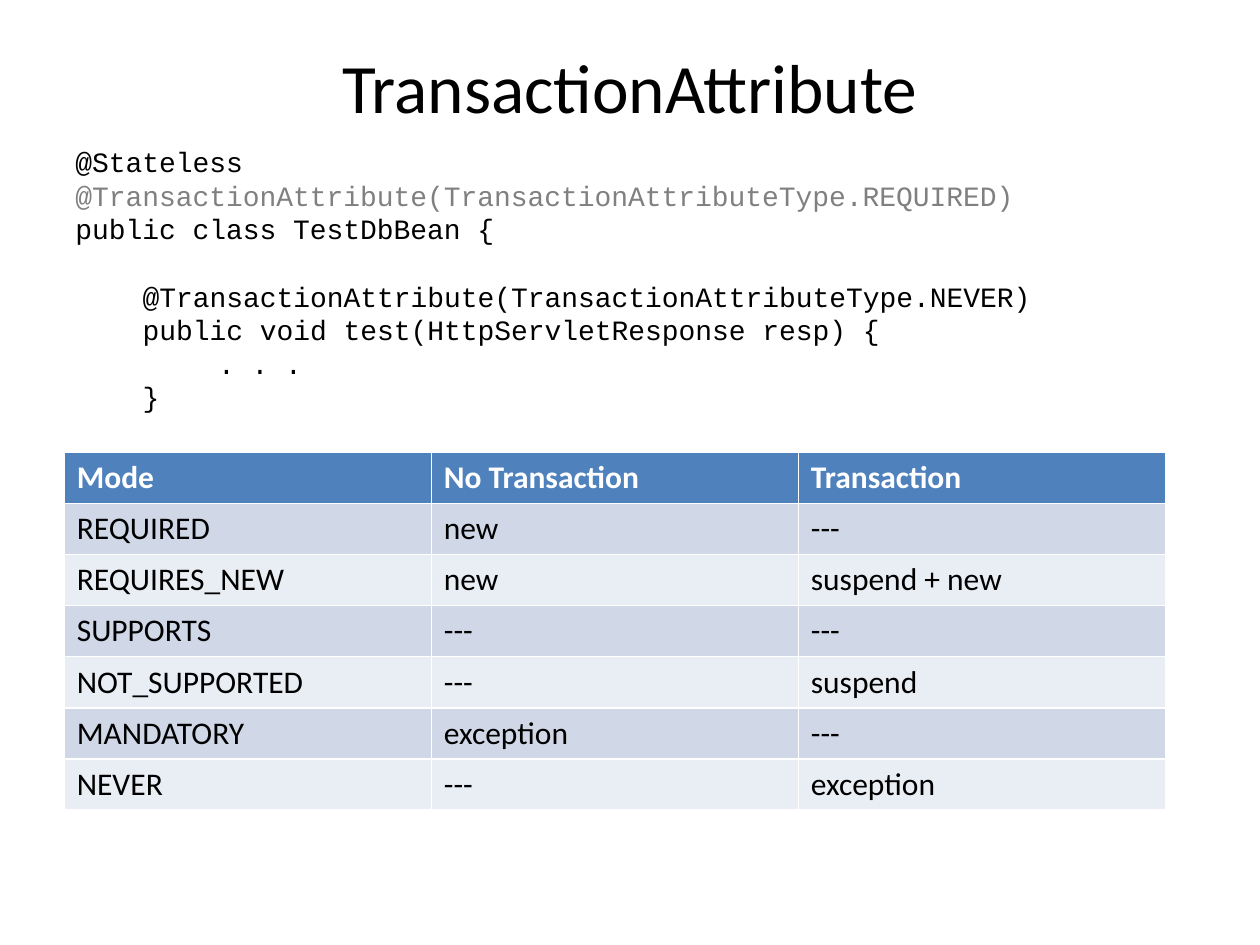
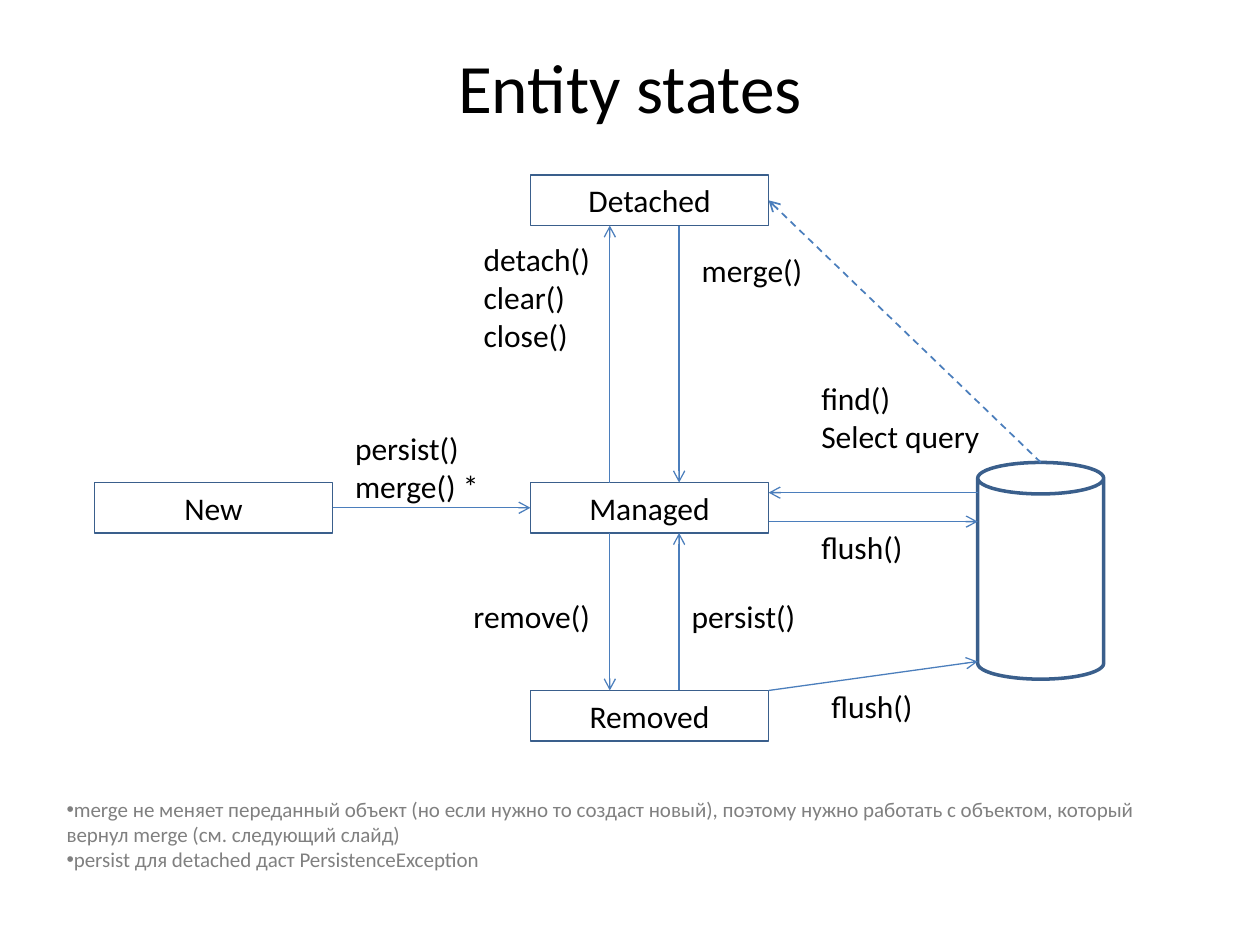
from lxml.etree import SubElement
from pptx import Presentation
from pptx.dml.color import RGBColor
from pptx.enum.dml import MSO_LINE
from pptx.enum.shapes import MSO_CONNECTOR, MSO_SHAPE
from pptx.enum.text import MSO_ANCHOR, PP_ALIGN
from pptx.oxml.ns import qn
from pptx.util import Inches, Pt

BLACK = RGBColor(0x00, 0x00, 0x00)
WHITE = RGBColor(0xFF, 0xFF, 0xFF)
GRAY = RGBColor(0x80, 0x80, 0x80)
HEADER_BLUE = RGBColor(0x4F, 0x81, 0xBD)
BANDS = [RGBColor(0xE9, 0xED, 0xF4), RGBColor(0xD0, 0xD8, 0xE8)]
OUTLINE_BLUE = RGBColor(0x3A, 0x5F, 0x8C)
ARROW_BLUE = RGBColor(0x4B, 0x7E, 0xBC)

presentation = Presentation()
presentation.slide_width = Inches(10)
presentation.slide_height = Inches(7.5)
# The grid has 100 columns and 75 rows
COLUMN = presentation.slide_width // 100
ROW = presentation.slide_height // 75


def write(text_frame, text, size=18, font="Calibri", color=BLACK, bold=False,
          align=PP_ALIGN.LEFT, anchor=MSO_ANCHOR.TOP, wrap=True):
    """Write each line of the text as a paragraph in one format."""
    text_frame.text = text
    text_frame.word_wrap = wrap
    text_frame.vertical_anchor = anchor
    for paragraph in text_frame.paragraphs:
        paragraph.alignment = align
        for run in paragraph.runs:
            run.font.size = Pt(size)
            run.font.name = font
            run.font.bold = bold
            run.font.color.rgb = color
    return text_frame.paragraphs


def add_arrow(shapes, start, end, width=0.75):
    """Draw an open-headed arrow between two (column, row) points."""
    (x1, y1), (x2, y2) = start, end
    arrow = shapes.add_connector(
        MSO_CONNECTOR.STRAIGHT, int(x1 * COLUMN), int(y1 * ROW),
        int(x2 * COLUMN), int(y2 * ROW))
    arrow.line.color.rgb = ARROW_BLUE
    arrow.line.width = Pt(width)
    line = arrow.line._get_or_add_ln()
    SubElement(line, qn("a:tailEnd"), type="arrow")
    SubElement(line.getparent(), qn("a:effectLst"))
    return arrow


# Slides and their titles
slides = []
for title in ["TransactionAttribute", "Entity states"]:
    slide = presentation.slides.add_slide(presentation.slide_layouts[6])
    title_box = slide.shapes.add_textbox(5 * COLUMN, 3 * ROW, 90 * COLUMN, int(7.7 * ROW))
    write(title_box.text_frame, title, size=39.6, align=PP_ALIGN.CENTER,
          anchor=MSO_ANCHOR.MIDDLE)
    slides.append(slide)
attribute_slide, states_slide = slides

# Code: text, indent in characters, blank lines before
code_lines = [
    ("@Stateless", 0, 0),
    ("@TransactionAttribute(TransactionAttributeType.REQUIRED)", 0, 0),
    ("public class TestDbBean {", 0, 0),
    ("@TransactionAttribute(TransactionAttributeType.NEVER)", 4, 1),
    ("public void test(HttpServletResponse resp) {", 4, 0),
    (". . .", 8.5, 0),
    ("}", 4, 0),
]
CHARACTER_WIDTH = Pt(9.6)
LINE_HEIGHT = Pt(19.2)
code_box = attribute_slide.shapes.add_textbox(
    5 * COLUMN, 11 * ROW, int(91.5 * COLUMN), 24 * ROW)
code = write(code_box.text_frame, "\n".join(text for text, _, _ in code_lines),
             size=16, font="Courier New")
for paragraph, (_, indent, blank_lines) in zip(code, code_lines):
    paragraph.line_spacing = LINE_HEIGHT
    paragraph.space_before = blank_lines * LINE_HEIGHT
    paragraph._p.get_or_add_pPr().set("marL", str(int(indent * CHARACTER_WIDTH)))
code[1].runs[0].font.color.rgb = GRAY

# Transaction modes
modes = [
    ("Mode", "No Transaction", "Transaction"),
    ("REQUIRED", "new", "---"),
    ("REQUIRES_NEW", "new", "suspend + new"),
    ("SUPPORTS", "---", "---"),
    ("NOT_SUPPORTED", "---", "suspend"),
    ("MANDATORY", "exception", "---"),
    ("NEVER", "---", "exception"),
]
mode_table = attribute_slide.shapes.add_table(
    len(modes), 3, int(5.1 * COLUMN), int(35.9 * ROW),
    int(87.4 * COLUMN), int(28.4 * ROW)).table
for row, values in enumerate(modes):
    is_header = row == 0
    for column, value in enumerate(values):
        cell = mode_table.cell(row, column)
        cell.fill.solid()
        cell.fill.fore_color.rgb = HEADER_BLUE if is_header else BANDS[row % 2]
        write(cell.text_frame, value, bold=is_header,
              color=WHITE if is_header else BLACK)

# Entity states
shapes = states_slide.shapes
STATE_WIDTH, STATE_HEIGHT = 18.9, 4
NEW_LEFT, STATE_LEFT = 7.5, 42.1
DETACHED_TOP, MANAGED_TOP, REMOVED_TOP = 13.9, 38.3, 54.8
STATE_RIGHT = STATE_LEFT + STATE_WIDTH
DATABASE_LEFT, DATABASE_TOP = 77.6, 36.7

database = shapes.add_shape(
    MSO_SHAPE.CAN, int(DATABASE_LEFT * COLUMN), int(DATABASE_TOP * ROW),
    10 * COLUMN, int(17.2 * ROW))
database.shadow.inherit = False
database.fill.background()
database.line.color.rgb = OUTLINE_BLUE
database.line.width = Pt(2)

states = {}
for name, left, top in [("Managed", STATE_LEFT, MANAGED_TOP),
                        ("Detached", STATE_LEFT, DETACHED_TOP),
                        ("Removed", STATE_LEFT, REMOVED_TOP),
                        ("New", NEW_LEFT, MANAGED_TOP)]:
    state = shapes.add_shape(
        MSO_SHAPE.RECTANGLE, int(left * COLUMN), int(top * ROW),
        int(STATE_WIDTH * COLUMN), int(STATE_HEIGHT * ROW))
    state.shadow.inherit = False
    state.fill.background()
    state.line.color.rgb = OUTLINE_BLUE
    state.line.width = Pt(1)
    write(state.text_frame, name, align=PP_ALIGN.CENTER, anchor=MSO_ANCHOR.MIDDLE)
    states[name] = state

# Transitions between states and database
LEFT_LANE, RIGHT_LANE = 48.4, 53.9
DETACHED_BOTTOM = DETACHED_TOP + STATE_HEIGHT
MANAGED_BOTTOM = MANAGED_TOP + STATE_HEIGHT
for start, end in [
    ((RIGHT_LANE, DETACHED_BOTTOM), (RIGHT_LANE, MANAGED_TOP)),
    ((LEFT_LANE, MANAGED_TOP), (LEFT_LANE, DETACHED_BOTTOM)),
    ((LEFT_LANE, MANAGED_BOTTOM), (LEFT_LANE, REMOVED_TOP)),
    ((RIGHT_LANE, REMOVED_TOP), (RIGHT_LANE, MANAGED_BOTTOM)),
    ((STATE_RIGHT, 41.4), (DATABASE_LEFT, 41.4)),
    ((DATABASE_LEFT, 39.1), (STATE_RIGHT, 39.1)),
    ((STATE_RIGHT, REMOVED_TOP), (DATABASE_LEFT, 52.5)),
]:
    add_arrow(shapes, start, end)

MANAGED_MIDDLE = MANAGED_TOP + STATE_HEIGHT / 2
persist_arrow = add_arrow(shapes, (NEW_LEFT + STATE_WIDTH, MANAGED_MIDDLE),
                          (STATE_LEFT, MANAGED_MIDDLE))
persist_arrow.begin_connect(states["New"], 3)
persist_arrow.end_connect(states["Managed"], 1)

detached_arrow = add_arrow(shapes, (DATABASE_LEFT + 5, DATABASE_TOP),
                           (STATE_RIGHT, DETACHED_TOP + STATE_HEIGHT / 2), width=1)
detached_arrow.line.dash_style = MSO_LINE.DASH
detached_arrow.end_connect(states["Detached"], 3)

# Transition labels: text, left, top, width
for text, left, top, width in [
    ("find()\nSelect query", 64.2, 29.6, 14.7),
    ("flush()", 64.2, 41.4, 8.6),
    ("flush()", 65, 54, 8.6),
    ("persist()", 53.9, 46.9, 10.3),
    ("persist()\nmerge() *", 27.2, 33.6, 12),
    ("remove()", 36.6, 46.9, 11.4),
    ("merge()", 54.7, 19.4, 10.1),
    ("detach()\nclear()\nclose()", 37.4, 18.6, 10.6),
]:
    height = 1 + 3 * len(text.splitlines())
    label = shapes.add_textbox(int(left * COLUMN), int(top * ROW),
                               int(width * COLUMN), height * ROW)
    write(label.text_frame, text, wrap=False)

# Footnotes
footnotes = [
    "merge не меняет переданный объект (но если нужно то создаст новый), "
    "поэтому нужно работать с объектом, который вернул merge (см. следующий слайд)",
    "persist для detached даст PersistenceException",
]
footnote_box = shapes.add_textbox(int(4.3 * COLUMN), int(62.7 * ROW),
                                  int(91.3 * COLUMN), int(7.1 * ROW))
for paragraph in write(footnote_box.text_frame, "\n".join(footnotes),
                       size=12, color=GRAY):
    properties = paragraph._p.get_or_add_pPr()
    SubElement(properties, qn("a:buFont"), typeface="Arial")
    SubElement(properties, qn("a:buChar"), char="•")

presentation.save("out.pptx")
